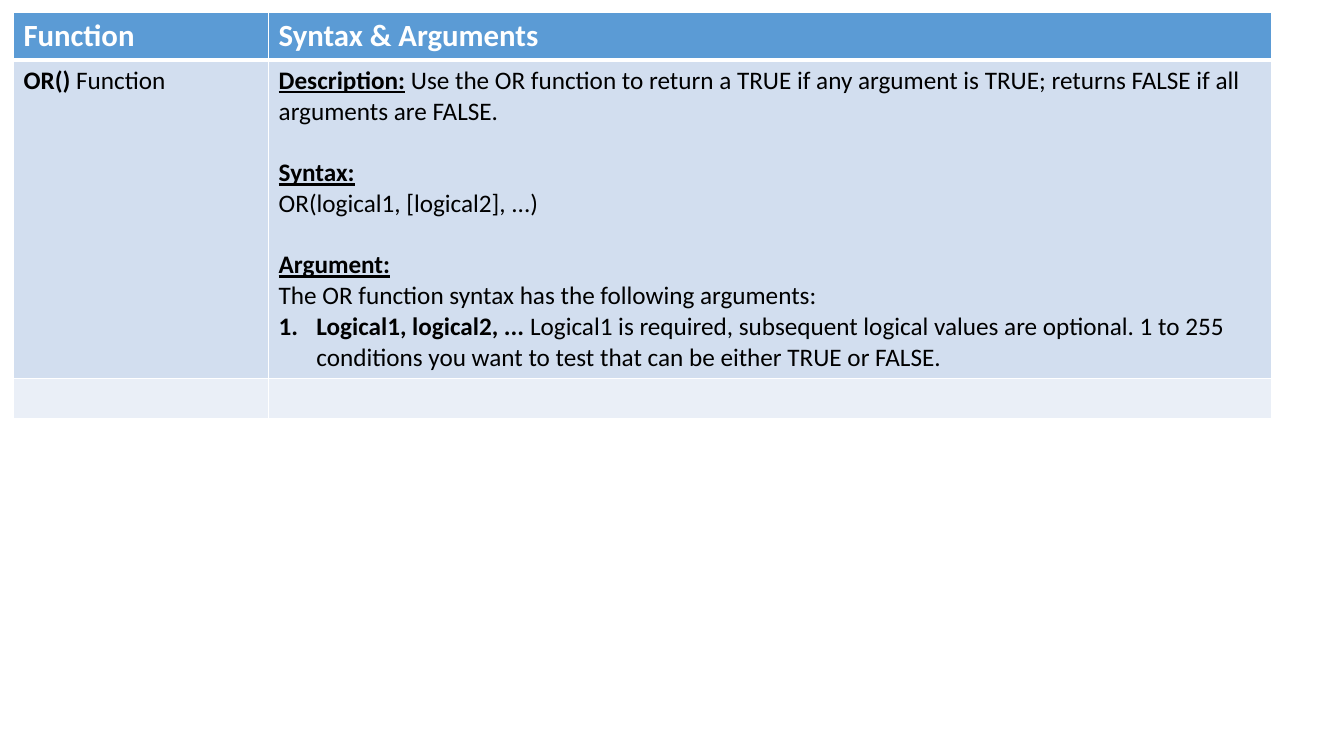
from pptx import Presentation
from pptx.dml.color import RGBColor
from pptx.oxml.xmlchemy import OxmlElement
from pptx.util import Cm, Pt

HUES = {"head": "5B9BD5", "body": "D2DEEF", "foot": "EAEFF7",
        "white": "FFFFFF", "black": "000000"}
PLAIN = {"bold": False, "underline": False}
BOLD = {"bold": True, "underline": False}
LABEL = {"bold": True, "underline": True}
GAP = {"space_before": Pt(22)}

ROWS = [
    ("head", "white", 22, [
        [({}, [("Function", BOLD)])],
        [({}, [("Syntax & Arguments", BOLD)])],
    ]),
    ("body", "black", 18, [
        [({}, [("OR()", BOLD), (" Function", PLAIN)])],
        [
            ({}, [("Description:", LABEL),
                  (" Use the OR function to return a TRUE if any argument is TRUE; "
                   "returns FALSE if all arguments are FALSE.", PLAIN)]),
            (GAP, [("Syntax:", LABEL)]),
            ({}, [("OR(logical1, [logical2], ...)", PLAIN)]),
            (GAP, [("Argument:", LABEL)]),
            ({}, [("The OR function syntax has the following arguments:", PLAIN)]),
            ({"number": True}, [
                ("Logical1, logical2, ... ", BOLD),
                ("Logical1 is required, subsequent logical values are optional. "
                 "1 to 255 conditions you want to test that can be either "
                 "TRUE or FALSE.", PLAIN)]),
        ],
    ]),
    ("foot", "black", 18, [[], []]),
]


def edge(cell, side, width):
    line = OxmlElement(f"a:ln{side}")
    line.set("w", str(Pt(width)))
    fill = OxmlElement("a:solidFill")
    hue = OxmlElement("a:srgbClr")
    hue.set("val", HUES["white"])
    fill.append(hue)
    line.append(fill)
    cell._tc.get_or_add_tcPr().append(line)


def number(para):
    props = para._p.get_or_add_pPr()
    props.set("marL", str(Cm(0.95)))
    props.set("indent", str(-Cm(0.95)))
    mark = OxmlElement("a:buAutoNum")
    mark.set("type", "arabicPeriod")
    props.append(mark)


deck = Presentation()
deck.slide_width, deck.slide_height = Cm(33.87), Cm(19.05)
slide = deck.slides.add_slide(deck.slide_layouts[6])
table = slide.shapes.add_table(3, 2, Cm(0.34), Cm(0.32), Cm(31.7), Cm(10.2)).table
for col, width in zip(table.columns, (6.43, 25.27)):
    col.width = Cm(width)
for row, height in zip(table.rows, (1.17, 8.01, 1.02)):
    row.height = Cm(height)

for top, (fill, ink, size, texts) in enumerate(ROWS):
    for left, paras in enumerate(texts):
        cell = table.cell(top, left)
        for side, width in {"L": 1, "R": 1, "T": 3 if top == 1 else 1,
                            "B": 3 if top == 0 else 1}.items():
            edge(cell, side, width)
        cell.fill.solid()
        cell.fill.fore_color.rgb = RGBColor.from_string(HUES[fill])
        frame = cell.text_frame
        for place, (form, runs) in enumerate(paras):
            para = frame.add_paragraph() if place else frame.paragraphs[0]
            for name, value in form.items():
                if name == "number":
                    number(para)
                else:
                    setattr(para, name, value)
            for text, style in runs:
                run = para.add_run()
                run.text = text
                look = {"name": "Calibri", "size": Pt(size), **style}
                for name, value in look.items():
                    setattr(run.font, name, value)
                run.font.color.rgb = RGBColor.from_string(HUES[ink])

deck.save("out.pptx")
